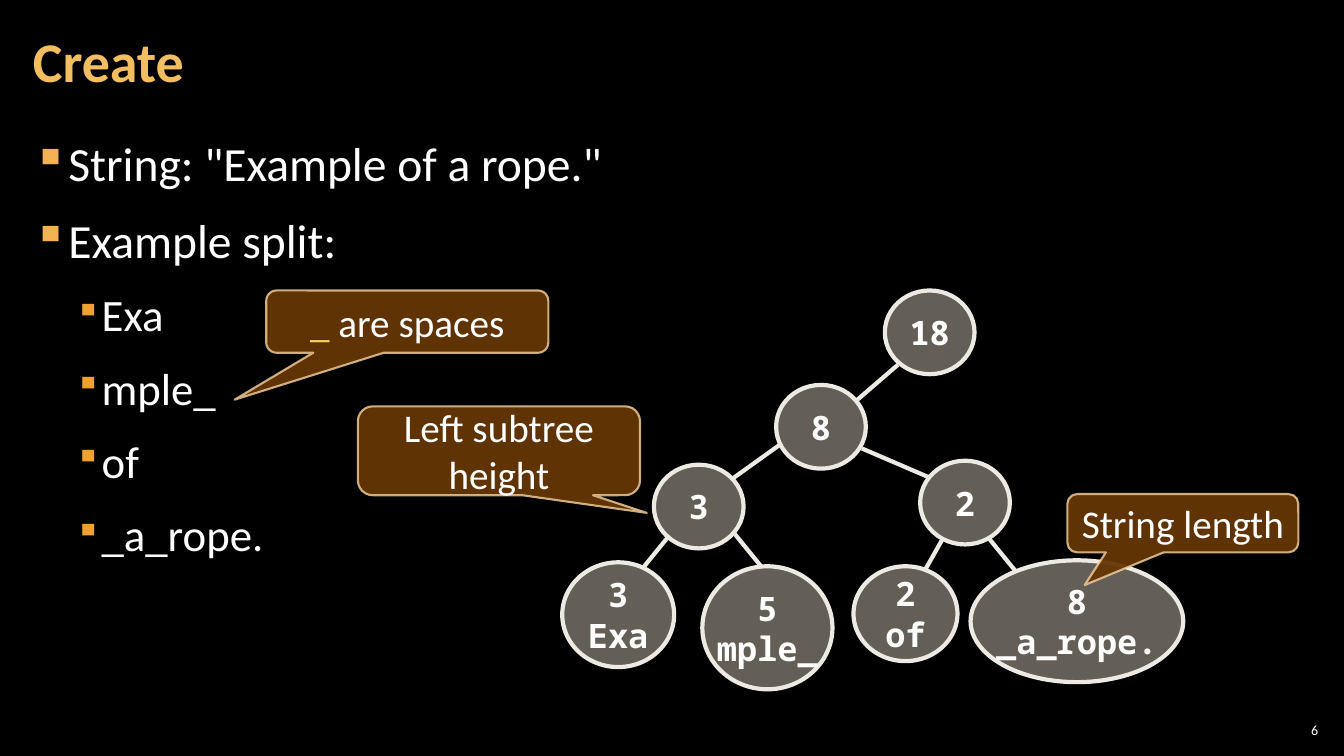
"""Build a slide showing how a rope tree is created from a string."""
from lxml.etree import SubElement
from pptx import Presentation
from pptx.dml.color import RGBColor
from pptx.enum.shapes import MSO_CONNECTOR as Connector, MSO_SHAPE as Shape
from pptx.enum.text import MSO_ANCHOR as Anchor, PP_ALIGN as Align
from pptx.oxml.ns import qn
from pptx.util import Cm, Pt

BLACK = RGBColor(0x00, 0x00, 0x00)
WHITE = RGBColor(0xFF, 0xFF, 0xFF)
TITLE_GOLD = RGBColor(0xF3, 0xBE, 0x60)
BULLET_GOLD = RGBColor(0xF2, 0xB2, 0x54)
SUB_BULLET_ORANGE = RGBColor(0xF0, 0xA2, 0x2E)
NODE_FILL = RGBColor(0xC7, 0xBF, 0xAC)
NODE_LINE = RGBColor(0xEC, 0xEA, 0xE3)
CALLOUT_FILL = RGBColor(0x66, 0x36, 0x06)
CALLOUT_LINE = RGBColor(0xF8, 0xD4, 0x9E)
UNDERSCORE_GOLD = RGBColor(0xF3, 0xCD, 0x60)
TEXT_FONT, NODE_FONT = "Calibri", "Noto Sans Mono"


def add_run(paragraph, text, size, color=WHITE, font=TEXT_FONT, bold=False):
    run = paragraph.add_run()
    run.text = text
    run.font.size = Pt(size)
    run.font.name = font
    run.font.bold = bold
    run.font.color.rgb = color


def paint(shape, fill, line, width, fill_alpha, line_alpha=100):
    shape.shadow.inherit = False
    shape.fill.solid()
    shape.fill.fore_color.rgb = fill
    shape.line.color.rgb = line
    shape.line.width = Pt(width)
    colors = shape._element.spPr.iter(qn("a:srgbClr"))
    for color, alpha in zip(colors, (fill_alpha, line_alpha)):
        SubElement(color, qn("a:alpha"), val=str(alpha * 1000))


prs = Presentation()
prs.slide_width, prs.slide_height = Cm(33.87), Cm(19.05)
slide = prs.slides.add_slide(prs.slide_layouts[6])
slide.background.fill.solid()
slide.background.fill.fore_color.rgb = BLACK

frames = []
for box, inset, anchor in [
    ((0.53, 0.1, 26.59, 3.07), 0.3, Anchor.MIDDLE),
    ((0.53, 3.2, 32.79, 15.47), 0.3, Anchor.TOP),
    ((32.13, 18.14, 1.19, 0.53), 0.1, Anchor.MIDDLE),
]:
    frame = slide.shapes.add_textbox(*map(Cm, box)).text_frame
    frame.word_wrap = True
    frame.vertical_anchor = anchor
    frame.margin_left = frame.margin_right = Cm(inset)
    frame.margin_top = frame.margin_bottom = Cm(0.1)
    frames.append(frame)
title, outline, page_number = frames

title.paragraphs[0].line_spacing = 0.9
add_run(title.paragraphs[0], "Create", 40, TITLE_GOLD, bold=True)
page_number.paragraphs[0].alignment = Align.RIGHT
add_run(page_number.paragraphs[0], "6", 10)

levels = [
    (34, 0.84, 0.84, BULLET_GOLD, 100),
    (32, 1.7, 0.64, SUB_BULLET_ORANGE, 80),
]
for index, (level, text) in enumerate([
    (0, 'String: "Example of a rope."'),
    (0, "Example split:"),
    (1, "Exa"),
    (1, "mple_"),
    (1, "of"),
    (1, "_a_rope."),
]):
    size, margin, hanging, bullet_color, bullet_size = levels[level]
    item = outline.add_paragraph() if index else outline.paragraphs[0]
    item.level = level
    item.line_spacing = 1.05
    item.space_before = item.space_after = Pt(6)
    add_run(item, text, size)
    props = item._p.get_or_add_pPr()
    props.set("marL", str(Cm(margin)))
    props.set("indent", str(-Cm(hanging)))
    SubElement(SubElement(props, qn("a:buClr")), qn("a:srgbClr"), val=str(bullet_color))
    SubElement(props, qn("a:buSzPct"), val=str(bullet_size * 1000))
    SubElement(props, qn("a:buChar"), char="▪")

for edge in [
    (22.63, 9.19, 21.54, 10.13),
    (19.69, 11.18, 18.42, 12.09),
    (21.72, 11.3, 23.44, 12.04),
    (16.87, 13.49, 16.21, 14.3),
    (18.52, 13.46, 19.18, 14.27),
    (23.75, 13.59, 23.29, 14.4),
    (24.94, 13.59, 25.6, 14.4),
]:
    branch = slide.shapes.add_connector(Connector.STRAIGHT, *map(Cm, edge))
    branch.line.color.rgb = NODE_LINE
    branch.line.width = Pt(3)
    SubElement(branch._element.spPr, qn("a:effectLst"))

inner_size = (2.26, 2.11)
for position, node_size, lines in [
    ((22.3, 7.32), inner_size, ["18"]),
    ((19.56, 9.7), inner_size, ["8"]),
    ((16.48, 11.71), inner_size, ["3"]),
    ((23.19, 11.61), inner_size, ["2"]),
    ((14.17, 14.17), (2.82, 2.64), ["3", "Exa"]),
    ((17.7, 14.27), (3.28, 3.1), ["5", "mple_"]),
    ((21.51, 14.27), (2.62, 2.39), ["2", "of"]),
    ((24.46, 14.12), (5.36, 3.07), ["8", "_a_rope."]),
]:
    node = slide.shapes.add_shape(Shape.OVAL, *map(Cm, position + node_size))
    paint(node, NODE_FILL, NODE_LINE, 3, 50)
    label = node.text_frame
    label.word_wrap = False
    label.vertical_anchor = Anchor.MIDDLE
    for index, text in enumerate(lines):
        row = label.add_paragraph() if index else label.paragraphs[0]
        row.alignment = Align.CENTER
        add_run(row, text, 24, font=NODE_FONT, bold=True)

for box, tip, pieces in [
    ((6.71, 7.32, 7.11, 1.57), (-0.612, 1.253),
     [("_", UNDERSCORE_GOLD), (" are spaces", WHITE)]),
    ((9.02, 10.24, 7.11, 2.24), (0.524, 0.699), [("Left subtree height", WHITE)]),
    ((26.9, 12.45, 5.82, 1.47), (-0.425, 1.06), [("String length", WHITE)]),
]:
    callout = slide.shapes.add_shape(Shape.ROUNDED_RECTANGULAR_CALLOUT, *map(Cm, box))
    callout.adjustments[0], callout.adjustments[1] = tip
    paint(callout, CALLOUT_FILL, CALLOUT_LINE, 1.5, 95, 80)
    note = callout.text_frame
    note.word_wrap = True
    note.vertical_anchor = Anchor.MIDDLE
    note.paragraphs[0].alignment = Align.CENTER
    for text, color in pieces:
        add_run(note.paragraphs[0], text, 28, color)

prs.save("out.pptx")
